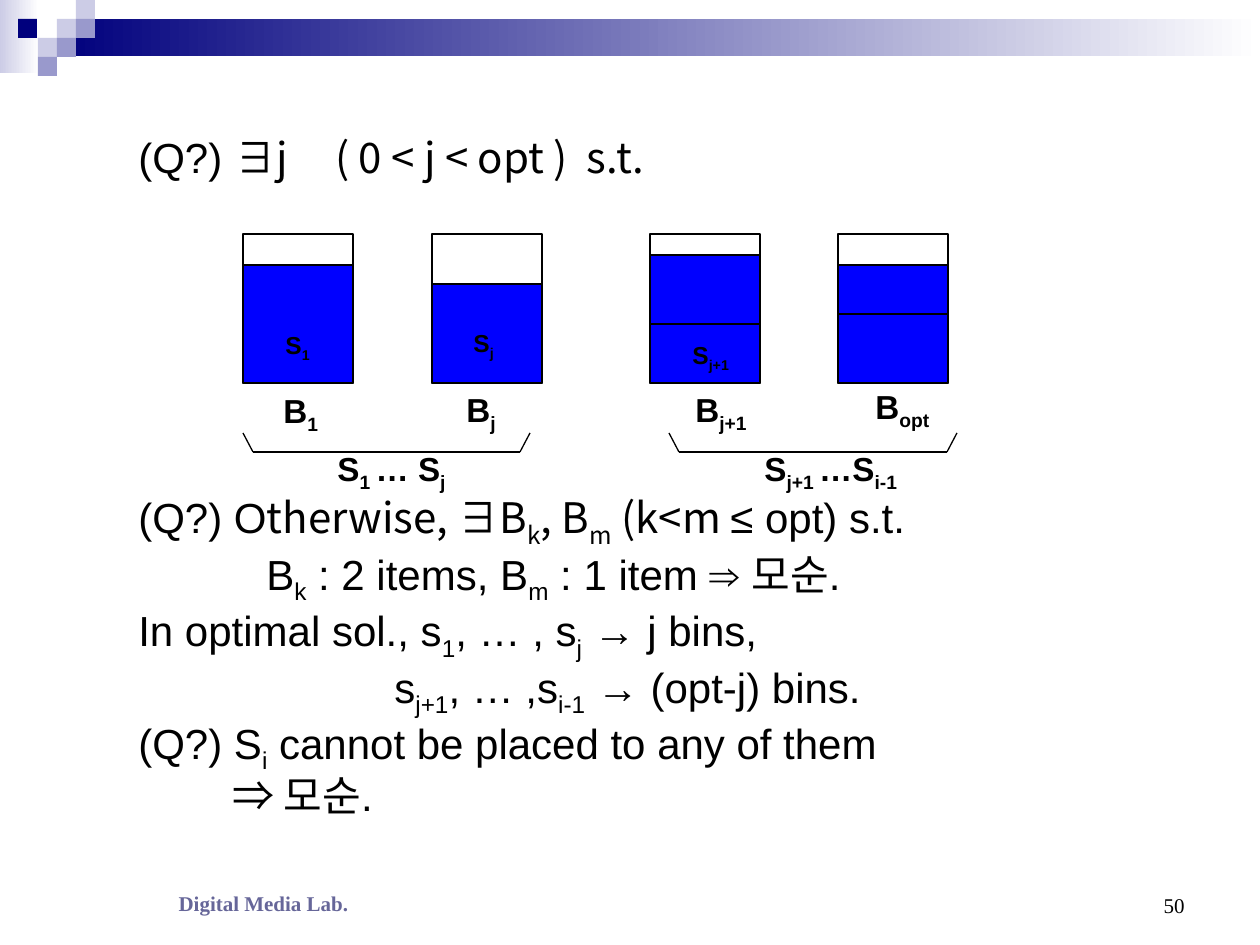
from lxml import etree
from pptx import Presentation, util as u
from pptx.dml.color import RGBColor
from pptx.enum import shapes, text
from pptx.oxml.ns import qn

SCALE = 914400 / 126
BLACK, NAVY, LILAC, VIOLET = "000000", "00007D", "CCCCE6", "9999CC"
KOREAN = "Noto Sans CJK KR"


def px(*values):
    return [u.Emu(round(v * SCALE)) for v in values]


def rgb(value):
    return RGBColor.from_string(value)


prs = Presentation()
prs.slide_width, prs.slide_height = px(1260, 945)
s = prs.slides.add_slide(prs.slide_layouts[6])

# Header: two fading bars, then a mosaic on a 19 px grid
squares = [(57, 19, LILAC), (76, 0, LILAC), (76, 19, VIOLET), (38, 38, LILAC),
           (18, 19, NAVY), (57, 38, VIOLET), (38, 57, VIOLET)]
header = [(0, 0, 39, 73, LILAC, True), (57, 19, 1203, 37, NAVY, True)]
header += [(x, y, 19, 19, color, False) for x, y, color in squares]
for x, y, w, h, color, fades in header:
    sp = s.shapes.add_shape(shapes.MSO_SHAPE.RECTANGLE, *px(x, y, w, h))
    sp.shadow.inherit = False
    sp.line.fill.background()
    if fades:
        sp.fill.gradient()
        sp.fill.gradient_angle = 0
        for stop, shade in zip(sp.fill.gradient_stops, (color, "FFFFFF")):
            stop.color.rgb = rgb(shade)
    else:
        sp.fill.solid()
        sp.fill.fore_color.rgb = rgb(color)

# Bins: white container with a blue filled part
BIN_TOP, BIN_BOTTOM, BIN_WIDTH = 234, 383, 110
for x, level in [(243, 265), (432, 284), (650, 255), (838, 265)]:
    for top, color in [(BIN_TOP, "FFFFFF"), (level, "0000FF")]:
        sp = s.shapes.add_shape(shapes.MSO_SHAPE.RECTANGLE,
                                *px(x, top, BIN_WIDTH, BIN_BOTTOM - top))
        sp.shadow.inherit = False
        sp.fill.solid()
        sp.fill.fore_color.rgb = rgb(color)
        sp.line.color.rgb = rgb(BLACK)
        sp.line.width = u.Pt(0.75)

# Item dividers inside the last two bins, and the brackets under each pair
lines = [(650, 324, 760, 324), (838, 314, 948, 314)]
for left, right in [(243, 530), (669, 957)]:
    lines += [(left, 433, left + 10, 452), (left + 10, 452, right - 10, 452),
              (right - 10, 452, right, 433)]
for ends in lines:
    line = s.shapes.add_connector(shapes.MSO_CONNECTOR.STRAIGHT, *px(*ends))
    line.line.color.rgb = rgb(BLACK)
    line.line.width = u.Pt(0.75)
    etree.SubElement(line._element.spPr, qn("a:effectLst"))

# Text: x, y, w, h, size, bold, paragraphs of (indent, content)
# In the content, ~ encloses a subscript and | encloses Korean-font text
TAB = 197
boxes = [
    (126, 135, 1071, 60, 24, False, [(0, "(Q?) |∃j\t( 0 < j < opt )  s.t.|")]),
    (126, 491, 1071, 364, 24, False, [
        (0, "(Q?) O|therwise, ∃B~k~, B~m~ (k<m |≤ opt) s.t."),
        (128, "B~k~ : 2 items, B~m~ : 1 item ⇒ 모순."),
        (0, "In optimal sol., s~1~, … , s~j~ → j bins,"),
        (256, "s~j+1~, … ,s~i-1~ → (opt-j) bins."),
        (0, "(Q?) S~i~ cannot be placed to any of them"),
        (94, "⇒ 모순."),
    ]),
]
labels = [
    (271, 384, 80, 19, "B~1~"), (454, 383, 80, 19, "B~j~"),
    (683, 383, 100, 19, "B~j+1~"), (863, 380, 100, 19, "B~opt~"),
    (273, 324, 70, 14, "S~1~"), (461, 322, 70, 14, "S~j~"),
    (680, 334, 80, 14, "S~j+1~"),
    (325, 442, 160, 19, "S~1 ~… S~j~"), (752, 442, 180, 19, "S~j+1 ~…S~i-1~"),
]
for x, y, w, size, content in labels:
    boxes.append((x, y, w, 3 * size, size, True, [(0, content)]))

for x, y, w, h, size, bold, paragraphs in boxes:
    tf = s.shapes.add_textbox(*px(x, y, w, h)).text_frame
    tf.word_wrap = True
    for i, (indent, content) in enumerate(paragraphs):
        p = tf.paragraphs[0] if i == 0 else tf.add_paragraph()
        if not bold:
            p.line_spacing = 0.8
            p.space_before = u.Pt(6 if i else 0)
        pPr = p._p.get_or_add_pPr()
        pPr.set("marL", str(px(indent)[0]))
        if "\t" in content:
            tabs = etree.SubElement(pPr, qn("a:tabLst"))
            etree.SubElement(tabs, qn("a:tab"), pos=str(px(TAB)[0]), algn="l")
        for j, part in enumerate(content.split("|")):
            for k, piece in enumerate(part.split("~")):
                if not piece:
                    continue
                r = p.add_run()
                r.text = piece
                r.font.size = u.Pt(size)
                r.font.bold = bold
                r.font.name = KOREAN if j % 2 else "Arial"
                r.font.color.rgb = rgb(BLACK)
                rPr = r._r.get_or_add_rPr()
                etree.SubElement(rPr, qn("a:ea"), typeface=KOREAN)
                if k % 2:
                    rPr.set("baseline", "-25000")

# Footer and page number
footers = [(64, 859, 399, "Digital Media Lab.", text.PP_ALIGN.CENTER, "666699", True),
           (903, 861, 294, "50", text.PP_ALIGN.RIGHT, BLACK, False)]
for x, y, w, content, align, color, bold in footers:
    tf = s.shapes.add_textbox(*px(x, y, w, 63)).text_frame
    tf.word_wrap = True
    tf.vertical_anchor = text.MSO_ANCHOR.BOTTOM
    tf.text = content
    p = tf.paragraphs[0]
    p.alignment = align
    r = p.runs[0]
    r.font.name = "Times New Roman"
    r.font.size = u.Pt(12)
    r.font.bold = bold
    r.font.color.rgb = rgb(color)

prs.save("out.pptx")
